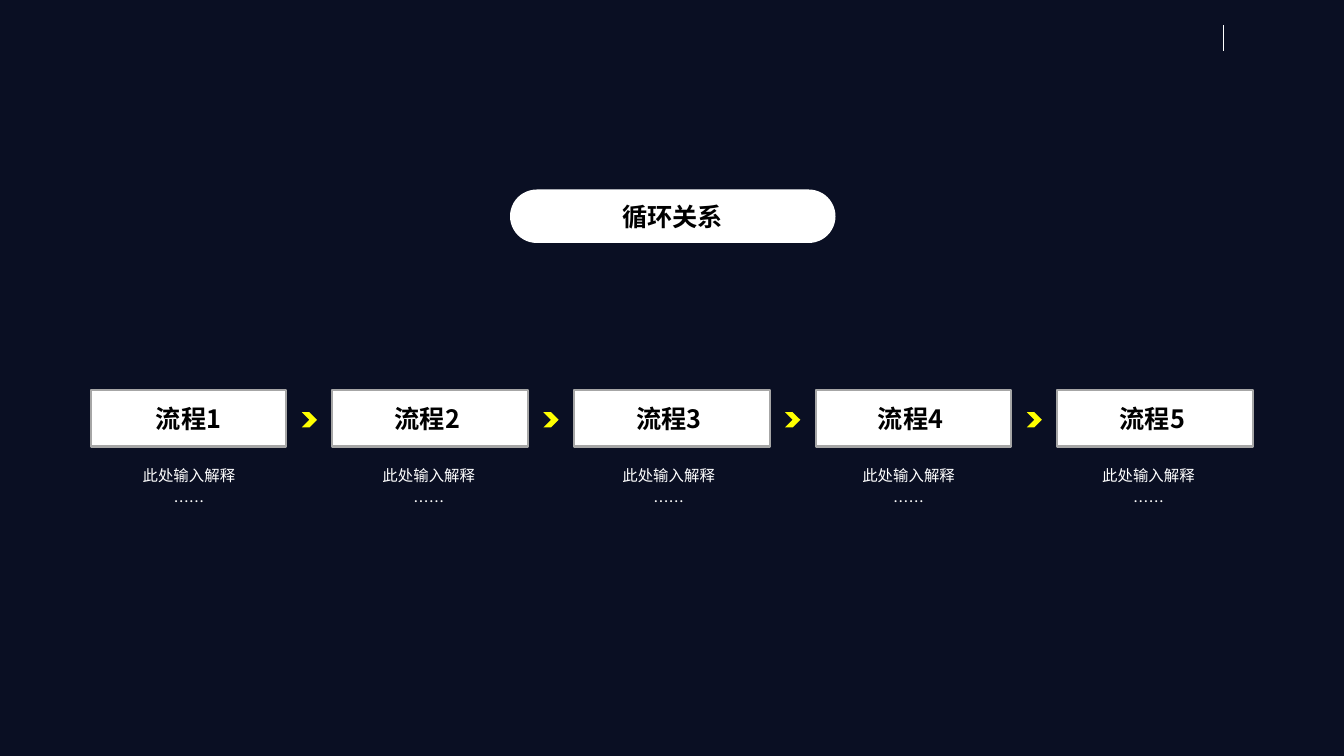
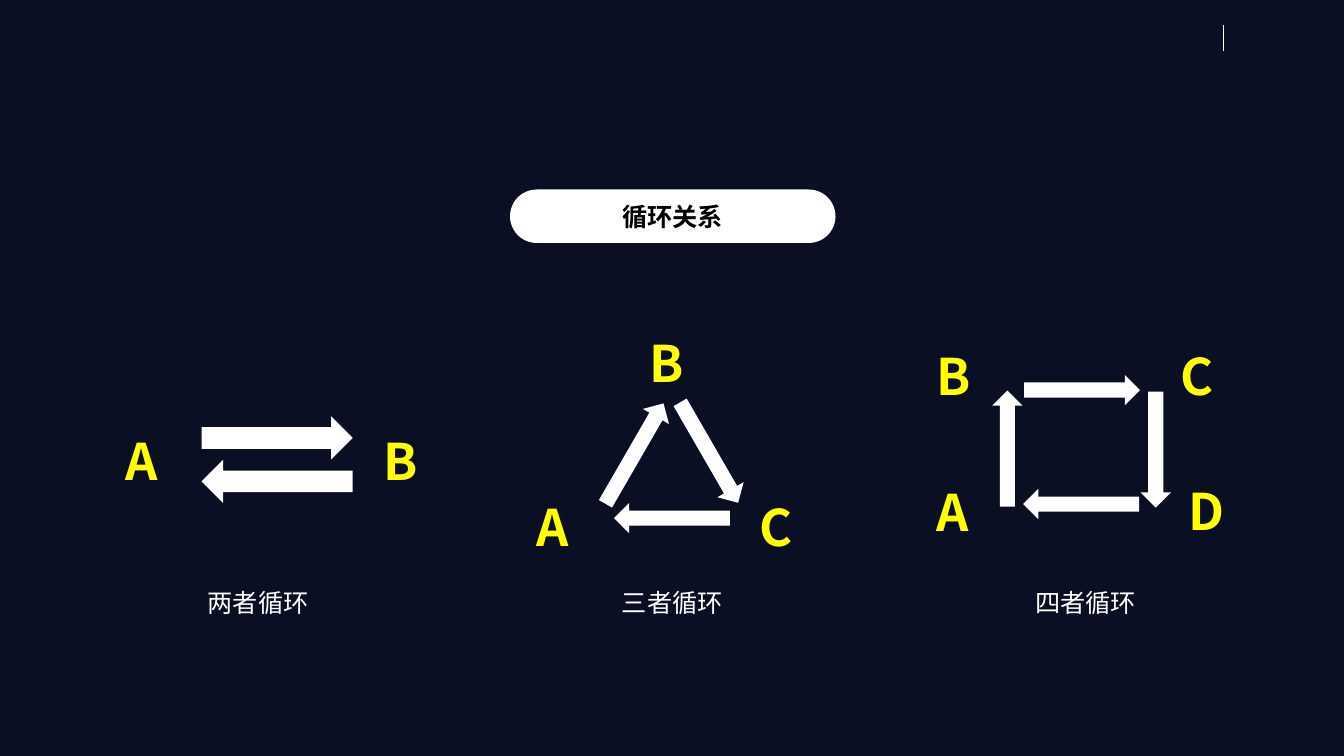
from dataclasses import dataclass
from lxml.etree import SubElement
from pptx import Presentation
from pptx.dml.color import RGBColor
from pptx.enum.shapes import MSO_CONNECTOR, MSO_SHAPE
from pptx.enum.text import MSO_ANCHOR, MSO_AUTO_SIZE, PP_ALIGN
from pptx.oxml.ns import qn
from pptx.util import Inches, Pt


@dataclass(frozen=True)
class Theme:
    font: str = "Noto Sans CJK SC"
    night: RGBColor = RGBColor(0x0A, 0x0F, 0x23)
    white: RGBColor = RGBColor(0xFF, 0xFF, 0xFF)
    black: RGBColor = RGBColor(0x00, 0x00, 0x00)
    yellow: RGBColor = RGBColor(0xFF, 0xFF, 0x00)
    border: RGBColor = RGBColor(0xA6, 0xA6, 0xA6)
    letter_size: int = 36
    label_size: int = 18
    note_size: int = 11


THEME = Theme()
WIDTH, HEIGHT = Inches(13.33), Inches(7.5)

# Sizes and positions are percentages of the slide's width and height
LETTER = (4.88, 9.47)
CAPTION = (14.1, 5.33)
ARROW = (8.63, 4)
WIDE_ARROW = (11.25, 5.73)

# Caption, its centre, arrow size, arrows (x, y, rotation), letters (name, x, y)
CYCLES = [
    ("两者循环", 19.2, WIDE_ARROW,
     [(20.62, 57.93, 0), (20.62, 63.67, 180)],
     [("A", 11.06, 61), ("B", 30.26, 61)]),
    ("三者循环", 50.02, ARROW,
     [(52.76, 59.87, 60), (50, 68.53, 180), (47.21, 60, 300)],
     [("A", 41.66, 69.67), ("B", 50, 48.07), ("C", 58.24, 69.67)]),
    ("四者循环", 80.78, ARROW,
     [(80.51, 51.6, 0), (80.44, 66.67, 180), (74.96, 59.33, 270), (85.99, 59.47, 90)],
     [("A", 71.36, 67.67), ("B", 71.36, 49.67), ("C", 89.51, 49.67), ("D", 90.11, 67.53)]),
]


def across(share):
    return round(WIDTH * share / 100)


def down(share):
    return round(HEIGHT * share / 100)


def frame(center, size):
    """Left, top, width and height of a box around its centre."""
    (x, y), (width, height) = center, size
    return across(x - width / 2), down(y - height / 2), across(width), down(height)


def write(box, text, size, color, bold=False, align=PP_ALIGN.CENTER, spacing=None):
    box.text_frame.word_wrap = True
    box.text_frame.text = text
    for para in box.text_frame.paragraphs:
        para.alignment = align
        if spacing:
            para.line_spacing = spacing
        for span in para.runs:
            span.font.size = Pt(size)
            span.font.bold = bold
            span.font.color.rgb = color
            span.font.name = THEME.font
            SubElement(span.font._element, qn("a:ea"), typeface=THEME.font)


def add_text(page, center, size, text, points, color, grow=True, **style):
    box = page.shapes.add_textbox(*frame(center, size))
    write(box, text, points, color, **style)
    if grow:
        box.text_frame.auto_size = MSO_AUTO_SIZE.SHAPE_TO_FIT_TEXT


def add_block(page, kind, center, size, fill, border=None, rotation=0):
    block = page.shapes.add_shape(kind, *frame(center, size))
    block.shadow.inherit = False
    block.rotation = rotation
    block.fill.solid()
    block.fill.fore_color.rgb = fill
    if border is None:
        block.line.fill.background()
    else:
        block.line.color.rgb = border
        block.line.width = Pt(1.5)
    return block


def add_label_block(page, kind, center, size, text, border=None):
    block = add_block(page, kind, center, size, THEME.white, border)
    block.text_frame.vertical_anchor = MSO_ANCHOR.MIDDLE
    write(block, text, THEME.label_size, THEME.black, bold=True)
    return block


def add_page(deck, title):
    page = deck.slides.add_slide(deck.slide_layouts[6])
    # Corner rule
    x = across(91.05)
    rule = page.shapes.add_connector(MSO_CONNECTOR.STRAIGHT, x, down(3.33), x, down(6.8))
    rule.line.color.rgb = THEME.white
    rule.line.width = Pt(0.5)
    SubElement(rule._element.spPr, qn("a:effectLst"))
    # Title pill
    pill = add_label_block(page, MSO_SHAPE.ROUNDED_RECTANGLE, (50.06, 28.6), (24.22, 7.07), title)
    pill.adjustments[0] = 0.5
    return page


def add_process(page, steps):
    first, pitch, middle = 14.03, 17.98, 55.33
    for index, step in enumerate(steps):
        x = first + index * pitch
        add_label_block(page, MSO_SHAPE.RECTANGLE, (x, middle), (14.55, 7.47), step, THEME.border)
        add_text(page, (14.06 + index * 17.85, 64.33), (14.33, 8.67), "此处输入解释\n……",
                 THEME.note_size, THEME.white, grow=False, spacing=1.4)
        # Chevron in the gap before the next step
        if index < len(steps) - 1:
            add_block(page, MSO_SHAPE.CHEVRON, (x + pitch / 2, middle + 0.2), (1.13, 2), THEME.yellow)


def add_cycle(page, caption, x, arrow_size, arrows, letters):
    for arrow_x, arrow_y, rotation in arrows:
        add_block(page, MSO_SHAPE.RIGHT_ARROW, (arrow_x, arrow_y), arrow_size, THEME.white,
                  rotation=rotation)
    for letter, letter_x, letter_y in letters:
        add_text(page, (letter_x, letter_y), LETTER, letter, THEME.letter_size, THEME.yellow,
                 bold=True, align=PP_ALIGN.LEFT)
    add_text(page, (x, 79.73), CAPTION, caption, THEME.label_size, THEME.white)


def main():
    deck = Presentation()
    deck.slide_width, deck.slide_height = WIDTH, HEIGHT
    backdrop = deck.slide_master.background.fill
    backdrop.solid()
    backdrop.fore_color.rgb = THEME.night

    # Slide 1: steps in a row
    add_process(add_page(deck, "循环关系"), ["流程1", "流程2 ", "流程3 ", "流程4 ", "流程5 "])

    # Slide 2: cycles of two, three and four
    cycle_page = add_page(deck, "循环关系")
    for cycle in CYCLES:
        add_cycle(cycle_page, *cycle)

    deck.save("out.pptx")


if __name__ == "__main__":
    main()
